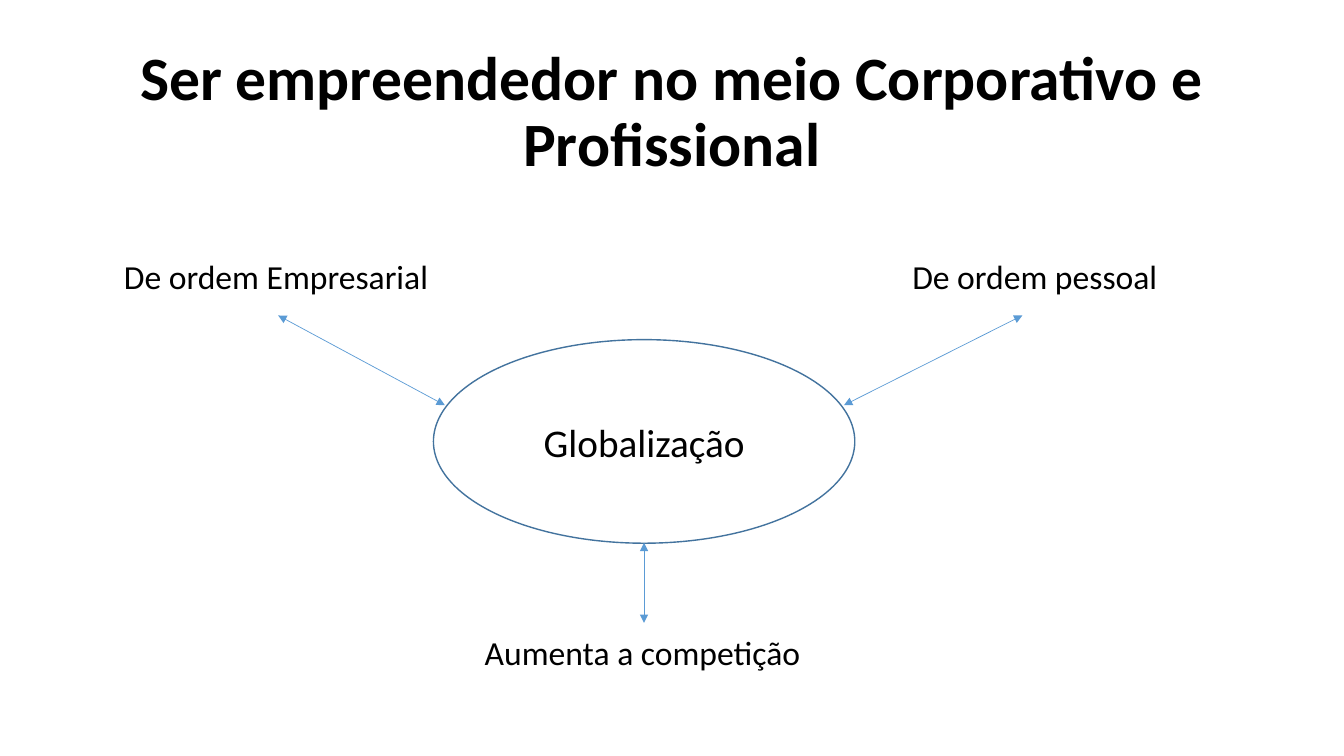
"""Build a slide that links globalisation to three entrepreneurial themes."""
from lxml.etree import SubElement
from pptx import Presentation
from pptx.dml.color import RGBColor
from pptx.enum.shapes import MSO_CONNECTOR, MSO_SHAPE
from pptx.enum.text import MSO_ANCHOR, PP_ALIGN
from pptx.oxml.ns import qn
from pptx.util import Inches, Pt

COLORS = {"paper": "FFFFFF", "ink": "000000", "outline": "43739E", "arrow": "5B9BD5"}

presentation = Presentation()
presentation.slide_width = Inches(13.33)
presentation.slide_height = Inches(7.5)
slide = presentation.slides.add_slide(presentation.slide_layouts[6])


def place(*percents):
    """Turn alternating horizontal and vertical slide percentages into lengths."""
    sides = (presentation.slide_width, presentation.slide_height)
    return [int(sides[index % 2] * percent / 100) for index, percent in enumerate(percents)]


def write(shape, text, size, alignment, anchor=MSO_ANCHOR.MIDDLE):
    """Put one styled paragraph in a shape and return the paragraph."""
    frame = shape.text_frame
    frame.word_wrap = True
    frame.vertical_anchor = anchor
    paragraph = frame.paragraphs[0]
    paragraph.text = text
    paragraph.alignment = alignment
    paragraph.font.name = "Calibri"
    paragraph.font.size = Pt(size)
    paragraph.font.color.rgb = RGBColor.from_string(COLORS["ink"])
    return paragraph


title = slide.shapes.add_textbox(*place(0, 5.33, 100, 19.33))
heading = write(title, "Ser empreendedor no meio Corporativo e Profissional", 44, PP_ALIGN.CENTER)
heading.font.bold = True
heading.line_spacing = 0.9

globalization = slide.shapes.add_shape(MSO_SHAPE.OVAL, *place(32.25, 44.93, 31.35, 26.93))
globalization.shadow.inherit = False
globalization.fill.solid()
globalization.fill.fore_color.rgb = RGBColor.from_string(COLORS["paper"])
globalization.line.color.rgb = RGBColor.from_string(COLORS["outline"])
globalization.line.width = Pt(1)
write(globalization, "Globalização", 28, PP_ALIGN.CENTER)

arrows = [
    (76.07, 41.73, 62.8, 53.6),
    (33.1, 53.6, 20.7, 41.73),
    (47.92, 71.8, 47.92, 82.4),
]
for ends in arrows:
    arrow = slide.shapes.add_connector(MSO_CONNECTOR.STRAIGHT, *place(*ends))
    arrow.line.color.rgb = RGBColor.from_string(COLORS["arrow"])
    arrow.line.width = Pt(0.5)
    outline = arrow.line._get_or_add_ln()
    for tip in ("a:headEnd", "a:tailEnd"):
        SubElement(outline, qn(tip), type="triangle")
    SubElement(arrow._element.spPr, qn("a:effectLst"))

labels = [
    ("De ordem Empresarial", 8.48, 33.2, 24.5),
    ("De ordem pessoal", 67.14, 33.2, 22.2),
    ("Aumenta a competição", 35.33, 82.93, 25.2),
]
for text, left, top, width in labels:
    label = slide.shapes.add_textbox(*place(left, top, width, 6.67))
    write(label, text, 24, PP_ALIGN.LEFT, MSO_ANCHOR.TOP)

presentation.save("out.pptx")
